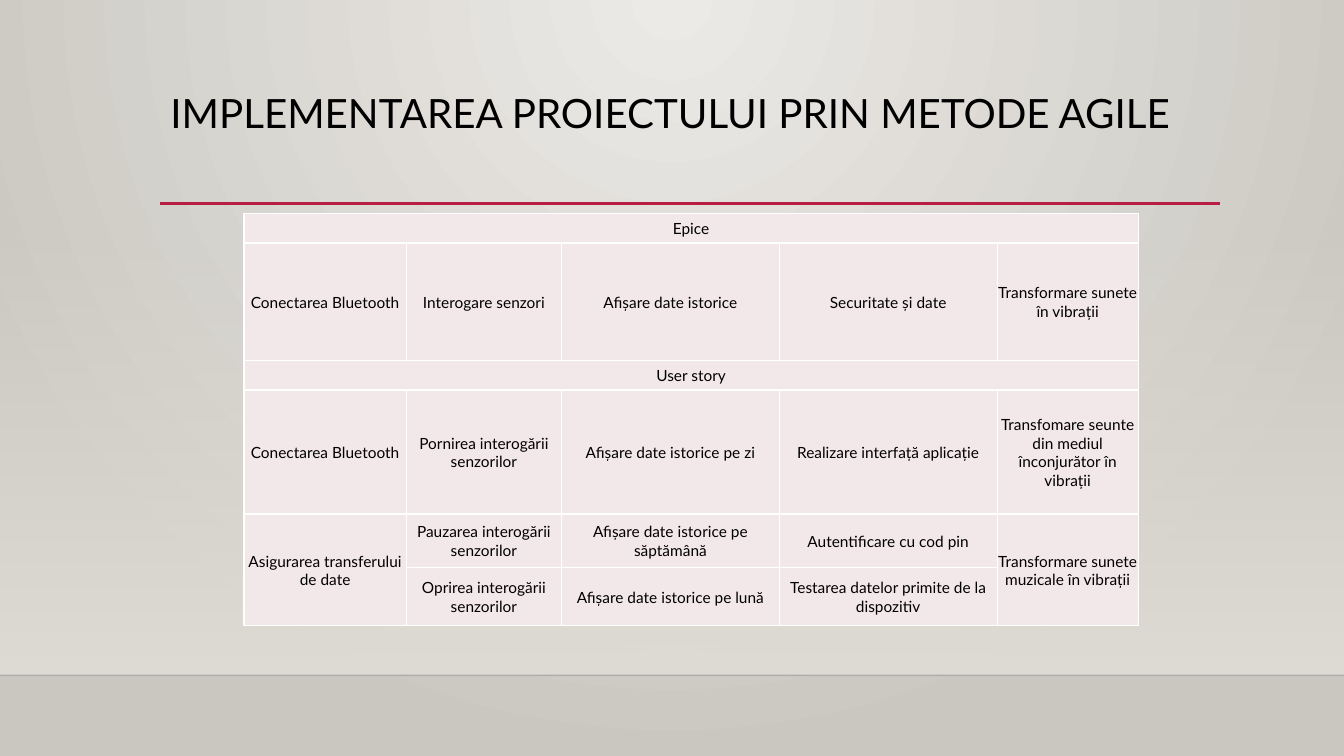
from lxml.etree import SubElement
from pptx import Presentation
from pptx.dml.color import RGBColor
from pptx.enum.shapes import MSO_CONNECTOR as Connector, MSO_SHAPE as Shape
from pptx.enum.text import MSO_ANCHOR as Anchor, PP_ALIGN as Align
from pptx.oxml.ns import qn
from pptx.util import Inches, Pt

EPICS = ["Conectarea Bluetooth", "Interogare senzori", "Afișare date istorice",
         "Securitate și date", "Transformare sunete în vibrații"]
STORIES = [
    ["Conectarea Bluetooth", "Pornirea interogării senzorilor", "Afișare date istorice pe zi",
     "Realizare interfață aplicație", "Transfomare seunte din mediul înconjurător în vibrații"],
    ["Asigurarea transferului de date", "Pauzarea interogării senzorilor",
     "Afișare date istorice pe săptămână", "Autentificare cu cod pin",
     "Transformare sunete muzicale în vibrații"],
    ["", "Oprirea interogării senzorilor", "Afișare date istorice pe lună",
     "Testarea datelor primite de la dispozitiv", ""],
]
BACKLOG = [["Epice"] + [""] * 4, EPICS, ["User story"] + [""] * 4] + STORIES
MERGES = [((0, 0), (0, 4)), ((2, 0), (2, 4)), ((4, 0), (5, 0)), ((4, 4), (5, 4))]
COLUMN_WIDTHS = [1.61, 1.54, 2.16, 2.16, 1.4]
ROW_HEIGHTS = [0.29, 1.17, 0.29, 1.23, 0.53, 0.58]


def color(code):
    return RGBColor.from_string(code)


def set_formats(target, formats):
    for name, value in formats.items():
        setattr(target, name, value)


def add_node(parent, tag, **attributes):
    return SubElement(parent, qn(tag), attributes)


class SlideBuilder:
    font = "Lato"
    ink = "000000"
    cell_fill = "F3E8E9"
    border = "FFFFFF"
    cell_format = {"vertical_anchor": Anchor.MIDDLE, "margin_left": Inches(0.01),
                   "margin_right": Inches(0.01), "margin_top": Inches(0.01), "margin_bottom": 0}
    title_format = {"word_wrap": True, "vertical_anchor": Anchor.TOP,
                    "margin_left": Inches(0.1), "margin_right": Inches(0.1),
                    "margin_top": Inches(0.05), "margin_bottom": Inches(0.05)}

    def __init__(self, deck):
        self.slide = deck.slides.add_slide(deck.slide_layouts[5])

    def add_text(self, frame, text, size, **paragraph_format):
        paragraph = frame.paragraphs[0]
        set_formats(paragraph, paragraph_format)
        run = paragraph.add_run()
        run.text = text
        set_formats(run.font, {"name": self.font, "size": Pt(size), "bold": False})
        run.font.color.rgb = color(self.ink)

    def gradient(self, owner, stops):
        empty_fill = owner.find(".//" + qn("a:noFill"))
        parent = empty_fill.getparent()
        fill = add_node(parent, "a:gradFill", rotWithShape="1")
        parent.replace(empty_fill, fill)
        stop_list = add_node(fill, "a:gsLst")
        for position, code, alpha in stops:
            stop = add_node(stop_list, "a:gs", pos=str(position * 1000))
            tint = add_node(stop, "a:srgbClr", val=code)
            add_node(tint, "a:alpha", val=str(alpha * 1000))
        return fill

    def background(self, center, edge):
        self.slide.background.fill.background()
        fill = self.gradient(self.slide.element, [(0, center, 100), (100, edge, 100)])
        circle = add_node(fill, "a:path", path="circle")
        add_node(circle, "a:fillToRect", l="43000", t="0", r="43000", b="100000")

    def fading_band(self, left, top, width, height, code):
        band = self.slide.shapes.add_shape(
            Shape.RECTANGLE, Inches(left), Inches(top), Inches(width), Inches(height))
        band.shadow.inherit = False
        band.fill.background()
        fill = self.gradient(band.element, [(0, code, 0), (100, code, 100)])
        add_node(fill, "a:lin", ang="5400000", scaled="0")
        band.line.fill.background()

    def rule(self, left, right, y, code, width, opacity=100):
        rule = self.slide.shapes.add_connector(
            Connector.STRAIGHT, Inches(left), Inches(y), Inches(right), Inches(y))
        rule.line.width = Pt(width)
        rule.line.color.rgb = color(code)
        tint = rule.element.find(".//" + qn("a:srgbClr"))
        add_node(tint, "a:alpha", val=str(opacity * 1000))
        add_node(rule.element.spPr, "a:effectLst")

    def title(self, left, top, width, height, text, size):
        title = self.slide.shapes.title
        set_formats(title, {"left": Inches(left), "top": Inches(top),
                            "width": Inches(width), "height": Inches(height)})
        set_formats(title.text_frame, self.title_format)
        self.add_text(title.text_frame, text, size, alignment=Align.LEFT, line_spacing=0.9)

    def borders(self, cell):
        properties = cell._tc.get_or_add_tcPr()
        for side in ("a:lnL", "a:lnR", "a:lnT", "a:lnB"):
            line = add_node(properties, side, w=str(Pt(1)))
            add_node(add_node(line, "a:solidFill"), "a:srgbClr", val=self.border)

    def table(self, left, top, widths, heights, rows, merges, size):
        table = self.slide.shapes.add_table(
            len(heights), len(widths), Inches(left), Inches(top),
            Inches(sum(widths)), Inches(sum(heights))).table
        set_formats(table, {"first_row": False, "horz_banding": False})
        for column, width in zip(table.columns, widths):
            column.width = Inches(width)
        for row, height in zip(table.rows, heights):
            row.height = Inches(height)
        for start, end in merges:
            table.cell(*start).merge(table.cell(*end))
        for row, texts in zip(table.rows, rows):
            for cell, text in zip(row.cells, texts):
                set_formats(cell, self.cell_format)
                self.borders(cell)
                cell.fill.solid()
                cell.fill.fore_color.rgb = color(self.cell_fill)
                if text:
                    self.add_text(cell.text_frame, text, size, alignment=Align.CENTER)


def main():
    deck = Presentation()
    set_formats(deck, {"slide_width": Inches(13.33), "slide_height": Inches(7.5)})
    builder = SlideBuilder(deck)
    builder.background("ECEAE7", "CAC7C1")
    builder.fading_band(0, 2.21, 13.33, 4.49, "DFDBD5")
    builder.rule(0, 13.33, 6.7, "000001", 1, opacity=20)
    builder.rule(1.59, 12.1, 2.02, "B71E42", 2.5)
    builder.title(1.59, 0.88, 10.5, 1.15, "IMPLEMENTAREA PROIECTULUI PRIN METODE AGILE", 28.8)
    builder.table(2.42, 2.12, COLUMN_WIDTHS, ROW_HEIGHTS, BACKLOG, MERGES, 11)
    deck.save("out.pptx")


if __name__ == "__main__":
    main()
